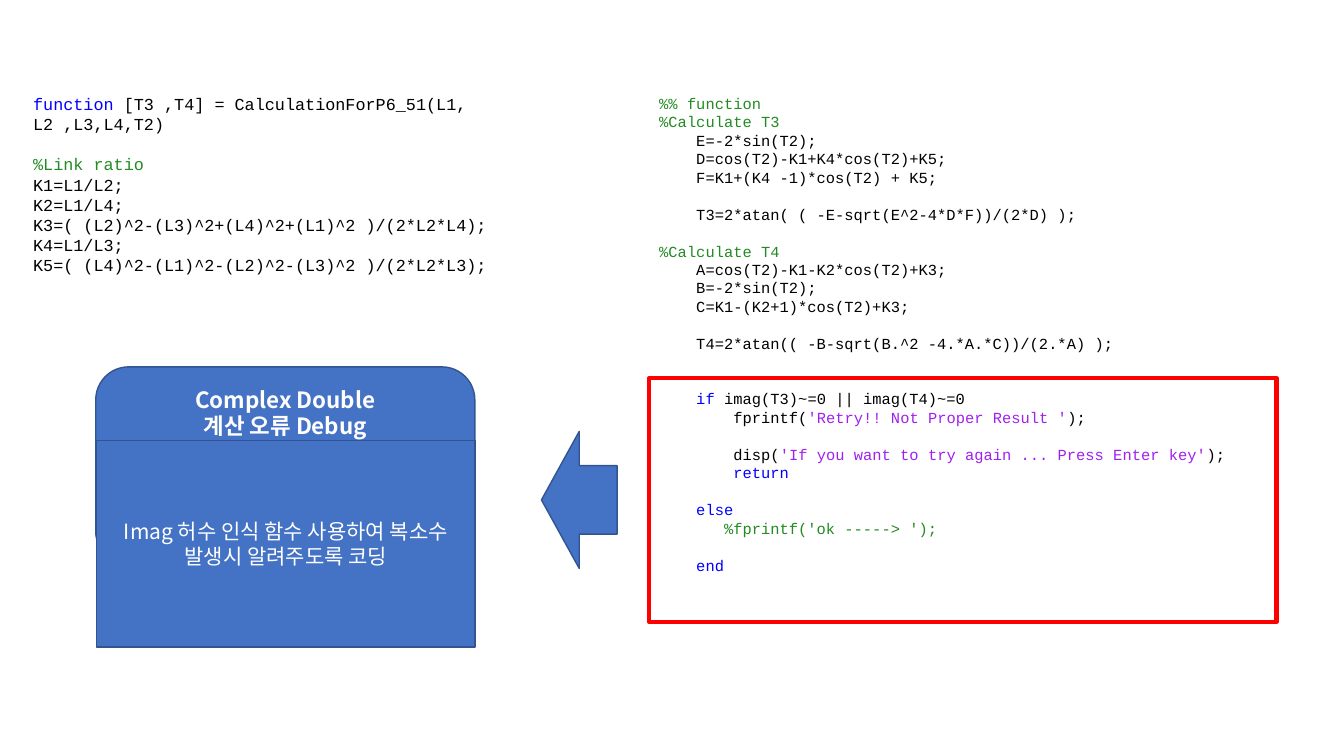
from dataclasses import dataclass
from typing import NamedTuple

from lxml.etree import SubElement
from pptx import Presentation
from pptx.dml.color import RGBColor as RGB
from pptx.enum.shapes import MSO_SHAPE as SHAPE
from pptx.enum.text import MSO_ANCHOR as ANCHOR, PP_ALIGN as ALIGN
from pptx.oxml.ns import qn
from pptx.util import Inches, Pt


@dataclass(frozen=True)
class Theme:
    code_font: str = "Courier New"
    label_font: str = "Noto Sans CJK KR"
    plain: str = "000000"
    keyword: str = "0000FF"
    comment: str = "228B22"
    string: str = "A020F0"
    label: str = "FFFFFF"
    fill: str = "4472C4"
    outline: str = "325491"
    frame: str = "FF0000"
    left_size: float = 12
    right_size: float = 11
    title_size: float = 16
    body_size: float = 15
    line_pitch: float = 1.2


class Box(NamedTuple):
    left: float
    top: float
    width: float
    height: float

    def emu(self) -> list[int]:
        return [Inches(v) for v in self]


class Run(NamedTuple):
    text: str
    color: str


class Line(NamedTuple):
    runs: list[Run]
    gap: int = 0


class Listing(NamedTuple):
    box: Box
    size: float
    lines: list[Line]


class Block(NamedTuple):
    kind: SHAPE
    box: Box
    texts: list[str]
    size: float
    bold: bool
    anchor: ANCHOR


T = Theme()


def plain(text: str, gap: int = 0) -> Line:
    return Line([Run(text, T.plain)], gap)


def comment(text: str, gap: int = 0) -> Line:
    return Line([Run(text, T.comment)], gap)


def keyword(text: str, gap: int = 0) -> Line:
    return Line([Run(text, T.keyword)], gap)


def call(name: str, text: str, gap: int = 0) -> Line:
    return Line([Run(f"        {name}(", T.plain), Run(text, T.string),
                 Run(");", T.plain)], gap)


LISTINGS = [
    Listing(Box(0.23, 0.88, 5.89, 3.13), T.left_size, [
        Line([Run("function", T.keyword),
              Run(" [T3 ,T4] = CalculationForP6_51(L1,\nL2 ,L3,L4,T2)", T.plain)]),
        comment("%Link ratio", 1),
        plain("K1=L1/L2;"),
        plain("K2=L1/L4;"),
        plain("K3=( (L2)^2-(L3)^2+(L4)^2+(L1)^2 )/(2*L2*L4);"),
        plain("K4=L1/L3;"),
        plain("K5=( (L4)^2-(L1)^2-(L2)^2-(L3)^2 )/(2*L2*L3);"),
    ]),
    Listing(Box(6.44, 0.88, 6.67, 4.91), T.right_size, [
        comment("%% function"),
        comment("%Calculate T3"),
        plain("    E=-2*sin(T2);"),
        plain("    D=cos(T2)-K1+K4*cos(T2)+K5;"),
        plain("    F=K1+(K4 -1)*cos(T2) + K5;"),
        plain("    T3=2*atan( ( -E-sqrt(E^2-4*D*F))/(2*D) );", 1),
        comment("%Calculate T4", 1),
        plain("    A=cos(T2)-K1-K2*cos(T2)+K3;"),
        plain("    B=-2*sin(T2);"),
        plain("    C=K1-(K2+1)*cos(T2)+K3;"),
        plain("    T4=2*atan(( -B-sqrt(B.^2 -4.*A.*C))/(2.*A) );", 1),
        Line([Run("    if ", T.keyword), Run("imag(T3)~=0 || imag(T4)~=0", T.plain)], 2),
        call("fprintf", "'Retry!! Not Proper Result '"),
        call("disp", "'If you want to try again ... Press Enter key'", 1),
        keyword("        return"),
        keyword("    else", 1),
        comment("       %fprintf('ok -----> ');"),
        keyword("    end", 1),
    ]),
]

FRAME = Box(6.44, 3.75, 6.22, 2.42)
BLOCKS = [
    Block(SHAPE.LEFT_ARROW, Box(5.37, 4.28, 0.75, 1.36), [], T.body_size,
          False, ANCHOR.MIDDLE),
    Block(SHAPE.ROUNDED_RECTANGLE, Box(0.95, 3.64, 3.76, 1.96),
          ["Complex Double", "계산 오류 Debug"], T.title_size, True, ANCHOR.TOP),
    Block(SHAPE.RECTANGLE, Box(0.96, 4.37, 3.75, 2.05),
          ["Imag 허수 인식 함수 사용하여 복소수 발생시 알려주도록 코딩"], T.body_size,
          False, ANCHOR.MIDDLE),
]


def add_run(p, text: str, font: str, size: float, color: str, bold: bool = False) -> None:
    r = p.add_run()
    r.text = text
    r.font.name = font
    r.font.size = Pt(size)
    r.font.bold = bold
    r.font.color.rgb = RGB.from_string(color)
    SubElement(r.font._element, qn("a:ea"), typeface=font)


def add_paragraph(tf, first: bool, size: float):
    p = tf.paragraphs[0] if first else tf.add_paragraph()
    p.line_spacing = Pt(size * T.line_pitch)
    return p


def add_listing(s, listing: Listing) -> None:
    tf = s.shapes.add_textbox(*listing.box.emu()).text_frame
    tf.word_wrap = True
    for i, line in enumerate(listing.lines):
        p = add_paragraph(tf, i == 0, listing.size)
        if line.gap:
            p.space_before = Pt(line.gap * listing.size * T.line_pitch)
        for run in line.runs:
            for j, part in enumerate(run.text.split("\n")):
                if j:
                    p.add_line_break()
                add_run(p, part, T.code_font, listing.size, run.color)


def add_outlined(s, kind: SHAPE, box: Box, color: str, width: float):
    sp = s.shapes.add_shape(kind, *box.emu())
    sp.shadow.inherit = False
    sp.line.color.rgb = RGB.from_string(color)
    sp.line.width = Pt(width)
    return sp


def add_block(s, block: Block) -> None:
    sp = add_outlined(s, block.kind, block.box, T.outline, 1)
    sp.fill.solid()
    sp.fill.fore_color.rgb = RGB.from_string(T.fill)
    tf = sp.text_frame
    tf.word_wrap = True
    tf.vertical_anchor = block.anchor
    if block.anchor == ANCHOR.TOP:
        tf.margin_top = Inches(0.09)
    for i, text in enumerate(block.texts):
        p = add_paragraph(tf, i == 0, block.size)
        p.alignment = ALIGN.CENTER
        add_run(p, text, T.label_font, block.size, T.label, block.bold)


def main() -> None:
    prs = Presentation()
    prs.slide_width, prs.slide_height = Inches(13.33), Inches(7.5)
    s = prs.slides.add_slide(prs.slide_layouts[6])
    for listing in LISTINGS:
        add_listing(s, listing)
    add_outlined(s, SHAPE.RECTANGLE, FRAME, T.frame, 3).fill.background()
    for block in BLOCKS:
        add_block(s, block)
    prs.save("out.pptx")


if __name__ == "__main__":
    main()
